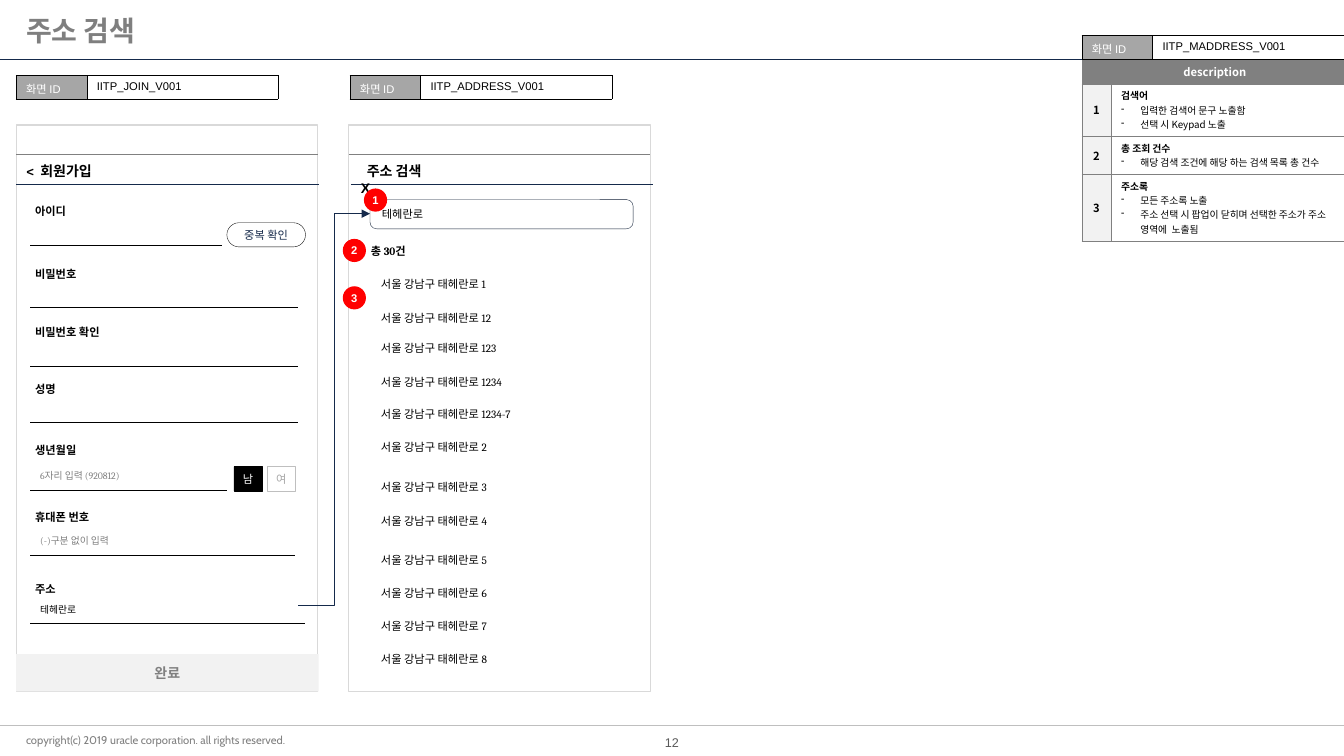
from dataclasses import dataclass

from lxml import etree
from pptx import Presentation
from pptx.dml.color import RGBColor
from pptx.enum.shapes import MSO_CONNECTOR, MSO_SHAPE
from pptx.enum.text import MSO_ANCHOR, PP_ALIGN
from pptx.oxml.ns import qn
from pptx.util import Inches, Pt

STRAIGHT, ELBOW = MSO_CONNECTOR.STRAIGHT, MSO_CONNECTOR.ELBOW
RECT, ROUND, OVAL = MSO_SHAPE.RECTANGLE, MSO_SHAPE.ROUNDED_RECTANGLE, MSO_SHAPE.OVAL
TOP, MIDDLE = MSO_ANCHOR.TOP, MSO_ANCHOR.MIDDLE
LEFT, CENTER = PP_ALIGN.LEFT, PP_ALIGN.CENTER

BLACK, WHITE = RGBColor(0, 0, 0), RGBColor(255, 255, 255)
GRAY, TITLE_GRAY = RGBColor(0x80, 0x80, 0x80), RGBColor(0x7F, 0x7F, 0x7F)
DARK_GRAY, MID_GRAY = RGBColor(0x59, 0x59, 0x59), RGBColor(0xA6, 0xA6, 0xA6)
SILVER, FRAME = RGBColor(0xBF, 0xBF, 0xBF), RGBColor(0xD9, 0xD9, 0xD9)
PALE = RGBColor(0xF2, 0xF2, 0xF2)
NAVY, INK, DEEP = RGBColor(0x15, 0x2A, 0x4B), RGBColor(0x17, 0x2B, 0x4B), RGBColor(0x11, 0x20, 0x37)
RED = RGBColor(255, 0, 0)
KOREAN = "Noto Sans CJK KR"


@dataclass(frozen=True)
class Style:
    size: float = 8
    font: str = "Cambria"
    color: RGBColor = BLACK
    bold: bool = False
    align: PP_ALIGN = LEFT
    anchor: MSO_ANCHOR = TOP


@dataclass(frozen=True)
class Field:
    label: str
    top: float
    line_y: float
    line_end: float
    hint: str = ""
    hint_top: float = 0
    hint_color: RGBColor = GRAY


@dataclass(frozen=True)
class Note:
    heading: str
    bullets: tuple[str, ...]
    height: float


LABEL = Style(bold=True)
HEADING = Style(10, bold=True)
FIELDS = (
    Field("아이디", 1.98, 2.43, 2.2),
    Field("비밀번호", 2.6, 3.05, 2.96),
    Field("비밀번호 확인", 3.18, 3.63, 2.96),
    Field("성명", 3.74, 4.19, 2.96),
    Field("생년월일", 4.35, 4.86, 2.25, "6자리 입력 (920812)", 4.61),
    Field("휴대폰 번호", 5.01, 5.51, 2.93, "(-)구분 없이 입력", 5.26),
    Field("주소", 5.73, 6.18, 3.03, "테헤란로", 5.94, BLACK),
)
ADDRESSES = (
    ("1", 2.7), ("12", 3.04), ("123", 3.34), ("1234", 3.67), ("1234-7", 3.99), ("2", 4.32),
    ("3", 4.72), ("4", 5.05), ("5", 5.44), ("6", 5.77), ("7", 6.09), ("8", 6.42),
)
NOTES = (
    Note("검색어", ("입력한 검색어 문구 노출함", "선택 시 Keypad 노출"), 0.52),
    Note("총 조회 건수", ("해당 검색 조건에 해당 하는 검색 목록 총 건수",), 0.38),
    Note("주소록", ("모든 주소록 노출", "주소 선택 시 팝업이 닫히며 선택한 주소가 주소 영역에  노출됨"), 0.66),
)

prs = Presentation()
prs.slide_width, prs.slide_height = Inches(13.33), Inches(7.5)
s = prs.slides.add_slide(prs.slide_layouts[6])


def style_paragraph(p, style: Style) -> None:
    p.alignment = style.align
    for r in p.runs:
        r.font.size, r.font.bold, r.font.name = Pt(style.size), style.bold, style.font
        r.font.color.rgb = style.color
        etree.SubElement(r.font._element, qn("a:ea"), typeface=KOREAN)


def write(tf, text: str, style: Style) -> None:
    tf.text = text
    tf.word_wrap = True
    tf.vertical_anchor = style.anchor
    style_paragraph(tf.paragraphs[0], style)


def add_text(x: float, y: float, w: float, h: float, text: str, style: Style) -> None:
    sp = s.shapes.add_textbox(Inches(x), Inches(y), Inches(w), Inches(h))
    write(sp.text_frame, text, style)


def add_line(x1: float, y1: float, x2: float, y2: float, color: RGBColor,
             width: float = 0.25, kind: MSO_CONNECTOR = STRAIGHT):
    cn = s.shapes.add_connector(kind, Inches(x1), Inches(y1), Inches(x2), Inches(y2))
    cn.line.color.rgb, cn.line.width = color, Pt(width)
    etree.SubElement(cn._element.spPr, qn("a:effectLst"))
    return cn


def add_box(kind: MSO_SHAPE, x: float, y: float, w: float, h: float, fill: RGBColor | None,
            line: RGBColor | None = None, width: float = 0.25, corner: float = 0,
            text: str = "", style: Style = LABEL, inset: float = 0.1) -> None:
    sp = s.shapes.add_shape(kind, Inches(x), Inches(y), Inches(w), Inches(h))
    sp.shadow.inherit = False
    if kind == ROUND:
        sp.adjustments[0] = corner
    if fill is None:
        sp.fill.background()
    else:
        sp.fill.solid()
        sp.fill.fore_color.rgb = fill
    if line is None:
        sp.line.fill.background()
    else:
        sp.line.color.rgb, sp.line.width = line, Pt(width)
    if text:
        tf = sp.text_frame
        tf.margin_left = tf.margin_right = Inches(inset)
        write(tf, text, style)


def add_table(x: float, y: float, cols: tuple[float, ...], rows: tuple[float, ...]):
    frame = s.shapes.add_table(len(rows), len(cols), Inches(x), Inches(y),
                               Inches(sum(cols)), Inches(sum(rows)))
    tbl = frame.table
    tbl.first_row = tbl.horz_banding = False
    for col, w in zip(tbl.columns, cols):
        col.width = Inches(w)
    for row, h in zip(tbl.rows, rows):
        row.height = Inches(h)
    return tbl


def fill_cell(cell, text: str, style: Style, border: RGBColor,
              fill: RGBColor | None = None, inset: float | None = None) -> None:
    tcPr = cell._tc.get_or_add_tcPr()
    for side in ("a:lnL", "a:lnR", "a:lnT", "a:lnB"):
        ln = etree.SubElement(tcPr, qn(side), w=str(Pt(0.25)))
        solid = etree.SubElement(ln, qn("a:solidFill"))
        etree.SubElement(solid, qn("a:srgbClr"), val=str(border))
    if fill is None:
        cell.fill.background()
    else:
        cell.fill.solid()
        cell.fill.fore_color.rgb = fill
    if inset is not None:
        cell.margin_left = cell.margin_right = cell.margin_top = cell.margin_bottom = Inches(inset)
    cell.vertical_anchor = style.anchor
    cell.text_frame.text = text
    style_paragraph(cell.text_frame.paragraphs[0], style)


def add_bullet(tf, text: str, style: Style) -> None:
    p = tf.add_paragraph()
    p.text = text
    pPr = p._p.get_or_add_pPr()
    pPr.set("marL", str(Inches(0.19)))
    pPr.set("indent", str(-Inches(0.19)))
    etree.SubElement(pPr, qn("a:buChar"), char="-")
    style_paragraph(p, style)


# Footer, title and phone frames
add_text(0.16, 7.14, 4.07, 0.4, "copyright(c) 2019 uracle corporation. all rights reserved.",
         Style(8, "Cabin", GRAY, anchor=MIDDLE))
add_text(6.2, 7.24, 0.93, 0.25, "12", Style(9, "Arial", DARK_GRAY, align=CENTER, anchor=MIDDLE))
add_line(0, 7.2, 13.33, 7.2, SILVER, 1)
add_line(0, 0.59, 13.33, 0.59, NAVY, 0.75)
add_text(0.16, 0.03, 13.03, 0.54, "주소 검색", Style(20, "Quicksand", TITLE_GRAY, True, anchor=MIDDLE))
for left in (0.16, 3.46):
    add_box(RECT, left, 1.24, 2.99, 5.62, WHITE, FRAME, 0.75)
    add_line(left, 1.53, left + 2.99, 1.53, GRAY)
for left in (0.16, 3.48):
    add_line(left, 1.83, left + 3, 1.83, NAVY)

# Sign-up screen
add_text(0.16, 1.56, 3, 0.27, "<  회원가입", HEADING)
add_box(ROUND, 0.16, 6.49, 3, 0.37, PALE, text="완료",
        style=Style(10, color=GRAY, bold=True, align=CENTER, anchor=MIDDLE))
for field in FIELDS:
    add_text(0.25, field.top, 1.27, 0.24, field.label, LABEL)
    add_line(0.3, field.line_y, field.line_end, field.line_y, BLACK)
    if field.hint:
        add_text(0.3, field.hint_top, 1.27, 0.22, field.hint, Style(7, color=field.hint_color))
for x, y, w, corner, text, fill, line, color in (
    (2.25, 2.21, 0.78, 0.5, "중복 확인", WHITE, BLACK, INK),
    (2.32, 4.63, 0.28, 0, "남", BLACK, BLACK, WHITE),
    (2.65, 4.63, 0.28, 0, "여", WHITE, SILVER, MID_GRAY),
):
    add_box(ROUND, x, y, w, 0.24, fill, line, corner=corner, text=text,
            style=Style(color=color, align=CENTER, anchor=MIDDLE), inset=0)

# Address search screen
add_text(3.54, 1.56, 2.9, 0.27, "주소 검색", HEADING)
add_text(3.48, 1.73, 0.4, 0.27, "X", Style(10, "Arial", bold=True))
for number, top in ADDRESSES:
    add_text(3.68, top, 2.21, 0.24, f"서울 강남구 태헤란로 {number}", Style())
add_box(ROUND, 3.67, 1.98, 2.61, 0.29, None, DEEP, corner=0.23, text="테헤란로",
        style=Style(anchor=MIDDLE))
add_text(3.58, 2.37, 2.21, 0.24, "총 30건", LABEL)
arrow = add_line(2.96, 6.01, 3.67, 2.12, NAVY, 0.75, ELBOW)
etree.SubElement(arrow.line._get_or_add_ln(), qn("a:tailEnd"), type="triangle")
for number, (x, y) in enumerate(((3.61, 1.87), (3.4, 2.37), (3.4, 2.84)), 1):
    add_box(OVAL, x, y, 0.23, 0.23, RED, text=str(number), inset=0,
            style=Style(8, "Arial", WHITE, True, CENTER, MIDDLE))

# Description table
tbl = add_table(10.73, 0.59, (0.29, 2.35), (0.24, *(note.height for note in NOTES)))
tbl.cell(0, 0).merge(tbl.cell(0, 1))
fill_cell(tbl.cell(0, 0), "description", Style(8, KOREAN, WHITE, True, CENTER, MIDDLE), GRAY, GRAY, 0.04)
for i, note in enumerate(NOTES, 1):
    fill_cell(tbl.cell(i, 0), str(i), Style(8, KOREAN, BLACK, True, CENTER, MIDDLE), GRAY, PALE, 0.04)
    fill_cell(tbl.cell(i, 1), note.heading, Style(7, KOREAN, bold=True, anchor=MIDDLE), GRAY)
    for bullet in note.bullets:
        add_bullet(tbl.cell(i, 1).text_frame, bullet, Style(7, KOREAN))

# Screen ID tables
for x, y, screen_id in ((10.73, 0.35, "IITP_MADDRESS_V001"), (0.16, 0.75, "IITP_JOIN_V001"),
                        (3.47, 0.75, "IITP_ADDRESS_V001")):
    tbl = add_table(x, y, (0.7, 1.9), (0.23,))
    fill_cell(tbl.cell(0, 0), "화면 ID", Style(8, "Arial", WHITE), BLACK, MID_GRAY)
    fill_cell(tbl.cell(0, 1), screen_id, Style(8, "Arial"), BLACK)

prs.save("out.pptx")
